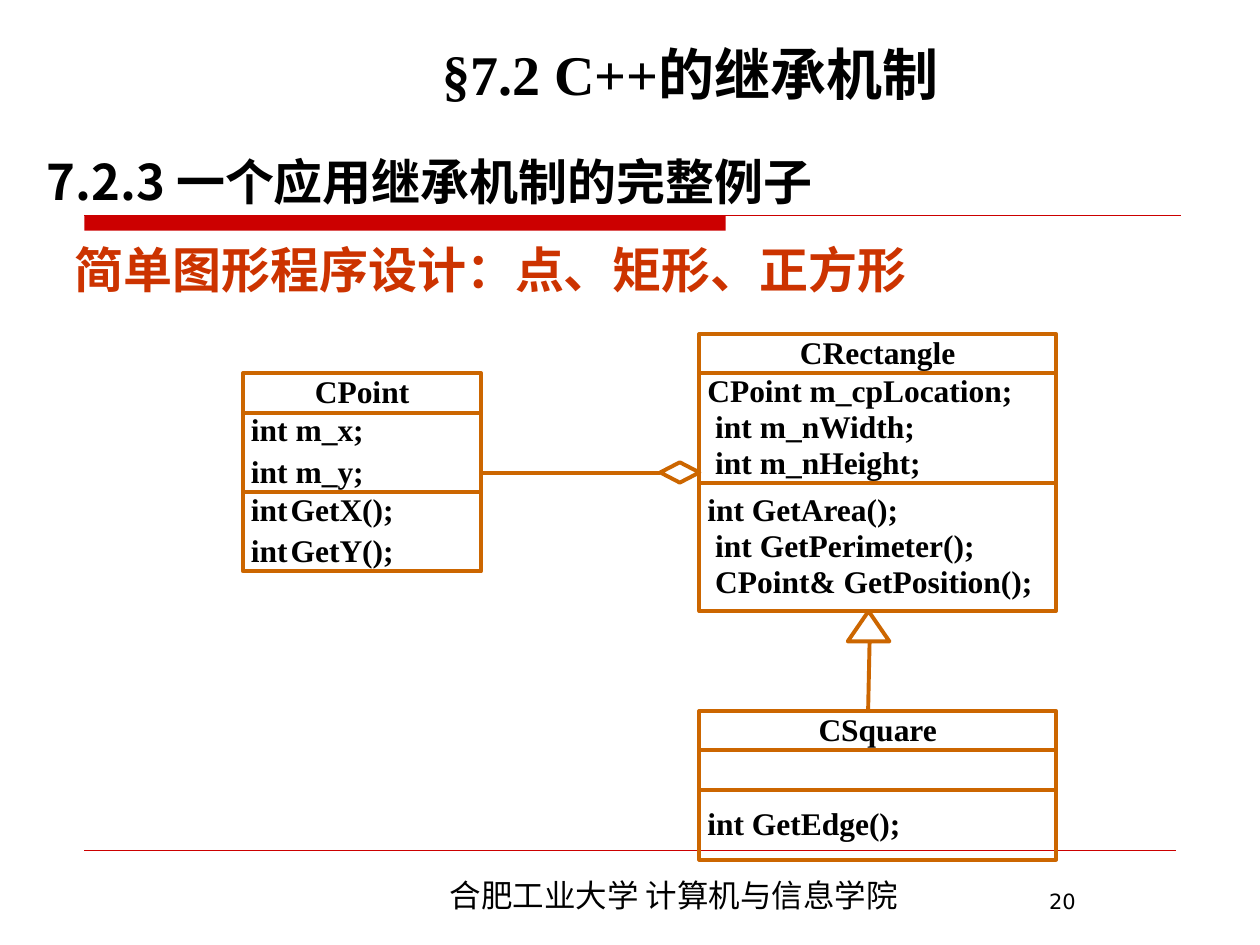
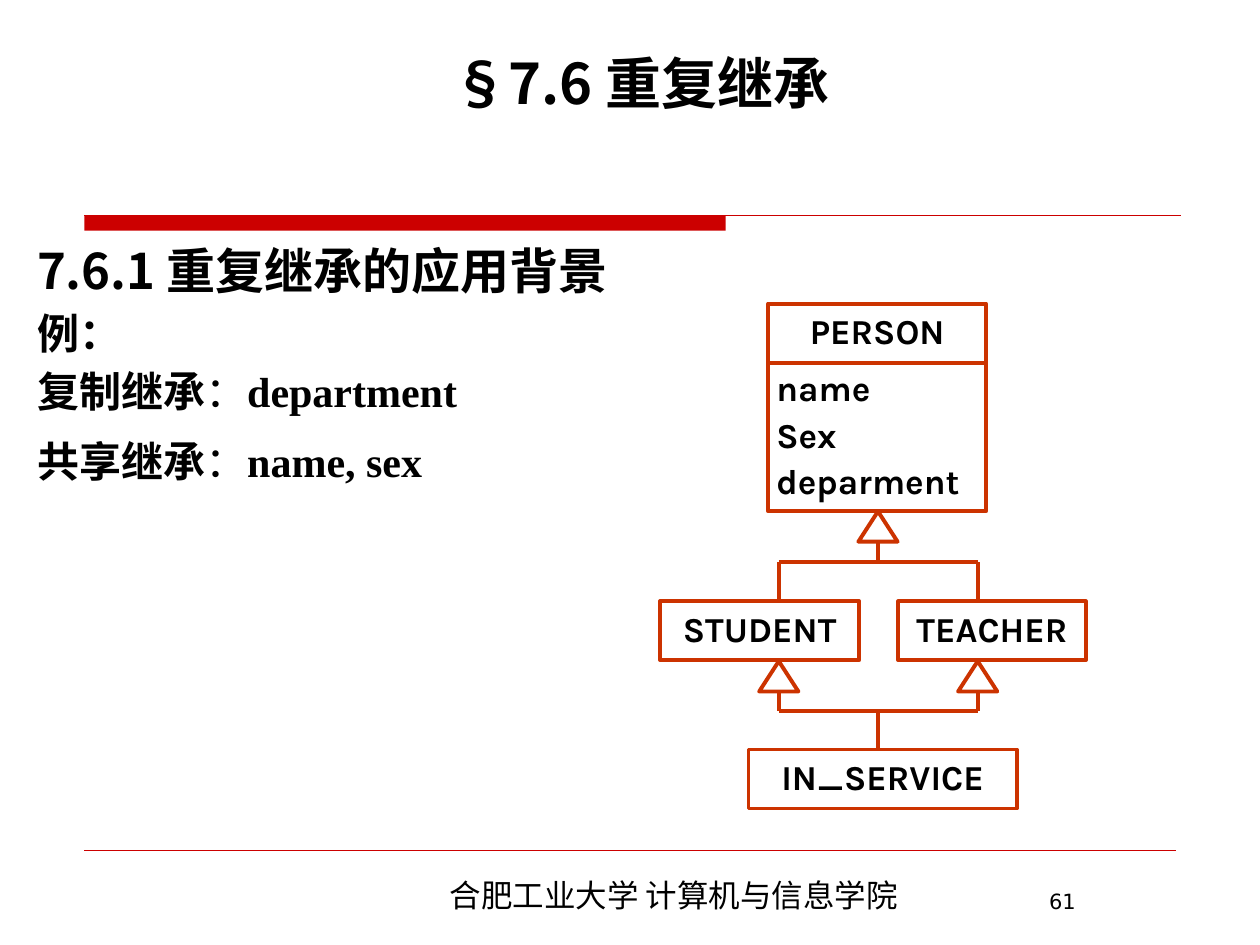
"""Build two lecture slides with class diagrams on C++ inheritance."""
import pptx
import pptx.util
import pptx.dml.color
import pptx.enum.shapes
import pptx.enum.text
import pptx.oxml.ns
from lxml import etree

Cm, Pt = pptx.util.Cm, pptx.util.Pt
SHAPE = pptx.enum.shapes.MSO_SHAPE
ALIGN = pptx.enum.text.PP_ALIGN
ANCHOR = pptx.enum.text.MSO_ANCHOR
qn = pptx.oxml.ns.qn

BLACK, RED, ORANGE, BRICK = "000000", "CC0000", "CC6600", "CC3300"
CJK, SERIF, SANS, KARLA = "Noto Sans CJK SC", "Times New Roman", "DejaVu Sans", "Karla"
EDGE = 2.25
CENTER = {"alignment": ALIGN.CENTER}

TITLE = {"name": CJK, "size": Pt(32), "bold": True}
HEADING = {"name": CJK, "size": Pt(28), "bold": True}
BODY = {"name": SERIF, "size": Pt(24), "bold": True}
FOOTER = {"name": CJK, "size": Pt(18)}
NUMBER = {"name": SANS, "size": Pt(12)}
CODE = {"name": SERIF, "size": Pt(18), "bold": True}
LABEL = {"name": KARLA, "size": Pt(20), "bold": True}
TIGHT = {"line_spacing": 0.9, "space_before": Pt(4.5)}
DENSE = {"line_spacing": 0.95}
LOOSE = {"line_spacing": 0.9, "space_before": Pt(5)}


def rgb(color):
    """Turn a hex string into a colour."""
    return pptx.dml.color.RGBColor.from_string(color)


def apply(obj, fmt):
    """Set every attribute named in a dict of format values."""
    for key, value in fmt.items():
        setattr(obj, key, value)


def add_run(p, text, font, color=BLACK):
    """Append a run with Latin and East Asian fonts."""
    r = p.add_run()
    r.text = text
    apply(r.font, font)
    r.font.color.rgb = rgb(color)
    etree.SubElement(r.font._element, qn("a:ea"), typeface=CJK)


def add_tab(p, pos):
    """Give a paragraph one left tab stop."""
    tabs = etree.SubElement(p._p.get_or_add_pPr(), qn("a:tabLst"))
    etree.SubElement(tabs, qn("a:tab"), pos=str(Cm(pos)), algn="l")


def write(tf, lines, font, para, color=BLACK):
    """Write one paragraph per line, without space before the first."""
    for i, line in enumerate(lines):
        p = tf.add_paragraph() if i else tf.paragraphs[0]
        if "\t" in line:
            add_tab(p, 0.8)
        apply(p, para)
        if not i:
            p.space_before = Pt(0)
        add_run(p, line, font, color)


def add_text(s, box, lines, font, para, color=BLACK, anchor=ANCHOR.TOP):
    """Add a wrapping text box and return its text frame."""
    tf = s.shapes.add_textbox(*map(Cm, box)).text_frame
    apply(tf, {"word_wrap": True, "vertical_anchor": anchor})
    write(tf, lines, font, para, color)
    return tf


def add_outline(s, kind, box, color):
    """Add an unfilled preset shape."""
    sp = s.shapes.add_shape(kind, *map(Cm, box))
    sp.shadow.inherit = False
    sp.fill.background()
    sp.line.color.rgb = rgb(color)
    sp.line.width = Pt(EDGE)
    return sp


def add_line(s, x1, y1, x2, y2, color, width=EDGE):
    """Add a straight line."""
    c = s.shapes.add_connector(pptx.enum.shapes.MSO_CONNECTOR.STRAIGHT,
                               *map(Cm, (x1, y1, x2, y2)))
    c.line.color.rgb = rgb(color)
    c.line.width = Pt(width)
    etree.SubElement(c._element.spPr, qn("a:effectLst"))


def add_class(s, x, y, w, sections, font, para, color):
    """Stack the sections of a class box, the first one holding its name."""
    for i, (h, lines) in enumerate(sections):
        tf = add_outline(s, SHAPE.RECTANGLE, (x, y, w, h), color).text_frame
        apply(tf, {"word_wrap": True, "vertical_anchor": ANCHOR.MIDDLE,
                   "margin_left": Cm(0.16), "margin_right": Cm(0.16),
                   "margin_top": 0, "margin_bottom": 0})
        align = ALIGN.LEFT if i else ALIGN.CENTER
        write(tf, lines, font, {**para, "alignment": align})
        y += h


def add_triangle(s, x, y, color, w=0.79):
    """Add an inheritance arrowhead with its tip at x, y."""
    add_outline(s, SHAPE.ISOSCELES_TRIANGLE, (x - w / 2, y, w, 0.61), color)


def add_base(prs, number):
    """Add a slide with the red band, footer line, footer and number."""
    s = prs.slides.add_slide(prs.slide_layouts[6])
    band = s.shapes.add_shape(SHAPE.RECTANGLE, *map(Cm, (1.7, 4.34, 12.93, 0.31)))
    band.shadow.inherit = False
    band.fill.solid()
    band.fill.fore_color.rgb = rgb(RED)
    band.line.fill.background()
    add_line(s, 1.7, 4.34, 23.8, 4.34, RED, 0.75)
    add_line(s, 1.7, 17.15, 23.7, 17.15, RED, 0.25)
    add_text(s, (5.89, 17.53, 15.39, 1.02), ["合肥工业大学 计算机与信息学院"], FOOTER, CENTER)
    add_text(s, (20.9, 17.78, 3.81, 0.74), [number], NUMBER, {})
    return s


def add_title(s, x, y, text, font):
    """Add a centred slide title."""
    add_text(s, (x, y, 21.64, 1.74), [text], font, CENTER, anchor=ANCHOR.BOTTOM)


def build_example(prs):
    """Build the slide with point, rectangle and square classes."""
    s = add_base(prs, "20")
    add_text(s, (0.69, 2.92, 23.6, 1.4), ["7.2.3 一个应用继承机制的完整例子"], HEADING, {})
    add_title(s, 3.1, 0.53, "§7.2 C++的继承机制", {**TITLE, "name": SERIF})
    add_class(s, 4.9, 7.52, 4.8, [
        (0.8, ["CPoint"]),
        (1.6, ["int m_x;", "int m_y;"]),
        (1.6, ["int\tGetX();", "int\tGetY();"]),
    ], CODE, TIGHT, ORANGE)
    add_class(s, 14.1, 6.73, 7.19, [
        (0.8, ["CRectangle"]),
        (2.2, ["CPoint m_cpLocation;", " int m_nWidth;", " int m_nHeight;"]),
        (2.59, ["int GetArea();", " int GetPerimeter();", " CPoint& GetPosition();"]),
    ], CODE, DENSE, ORANGE)
    add_class(s, 14.1, 14.33, 7.19, [
        (0.8, ["CSquare"]),
        (0.8, []),
        (1.4, ["int GetEdge();"]),
    ], CODE, DENSE, ORANGE)
    add_triangle(s, 17.51, 12.32, ORANGE, 0.84)
    add_line(s, 17.53, 12.93, 17.5, 14.33, ORANGE)
    add_outline(s, SHAPE.DIAMOND, (13.31, 9.32, 0.79, 0.41), ORANGE)
    add_line(s, 9.7, 9.53, 13.31, 9.53, ORANGE)
    add_text(s, (0.25, 4.11, 19.28, 2.03), ["简单图形程序设计：点、矩形、正方形"],
             HEADING, {**CENTER, "line_spacing": 1.5}, BRICK)


def build_repeated(prs):
    """Build the slide with the repeated inheritance diamond."""
    s = add_base(prs, "61")
    tf = add_text(s, (0.5, 4.72, 12.5, 6), ["7.6.1 重复继承的应用背景"], HEADING, {})
    for space, term, members in ((4.5, "例：", ""),
                                 (4.5, "复制继承", "department"),
                                 (11.4, "共享继承", "name, sex")):
        p = tf.add_paragraph()
        p.space_before = Pt(space)
        add_run(p, term, BODY)
        if members:
            add_run(p, "：", {**BODY, "bold": False})
            add_run(p, members, BODY)
    add_title(s, 2.11, 0.72, "§7.6 重复继承", TITLE)

    left, mid, right = 15.7, 17.7, 19.71
    h = 1.19
    for x, y, w, name in ((13.31, 12.12, 4.01, "STUDENT"),
                          (18.11, 12.12, 3.78, "TEACHER"),
                          (15.09, 15.11, 5.41, "IN_SERVICE")):
        add_class(s, x, y, w, [(h, [name])], LABEL, LOOSE, BRICK)
    add_class(s, 15.49, 6.12, 4.39,
              [(h, ["PERSON"]), (3, ["name", "Sex", "deparment"])], LABEL, LOOSE, BRICK)
    for tip, rail, foot, parents, children in (
            (10.31, 11.33, 12.12, [mid], [left, right]),
            (13.33, 14.33, 15.11, [left, right], [mid])):
        add_line(s, left, rail, right, rail, BRICK)
        for x in parents:
            add_triangle(s, x, tip, BRICK)
            add_line(s, x, tip + 0.61, x, rail, BRICK)
        for x in children:
            add_line(s, x, rail, x, foot, BRICK)


def main():
    """Build and save the presentation."""
    prs = pptx.Presentation()
    prs.slide_width, prs.slide_height = Cm(25.4), Cm(19.05)
    build_example(prs)
    build_repeated(prs)
    prs.save("out.pptx")


if __name__ == "__main__":
    main()
